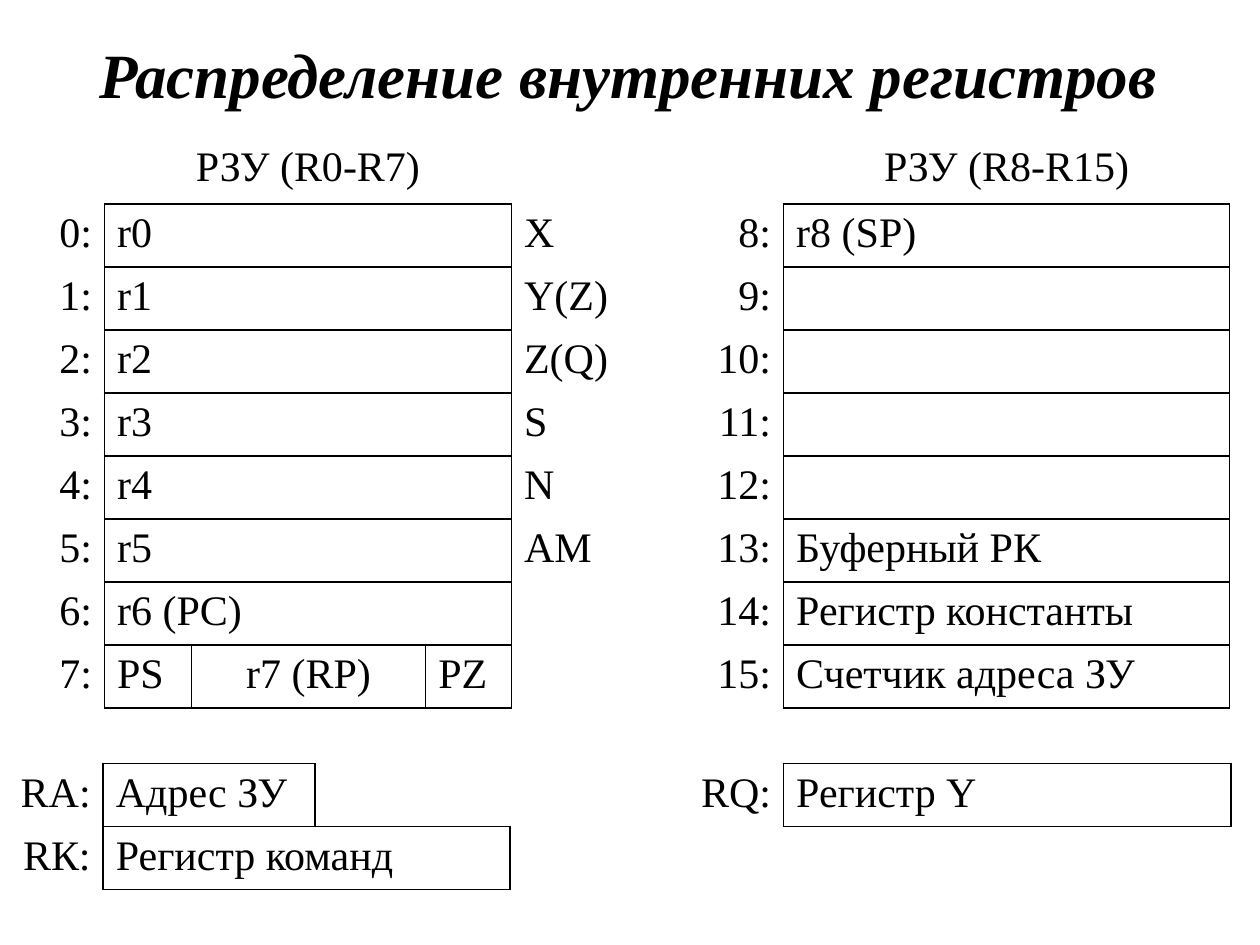
"""Build a slide that shows the layout of the internal registers."""
from dataclasses import dataclass

from lxml import etree
from pptx import Presentation
from pptx import util as u
from pptx.dml.color import RGBColor
from pptx.enum import text
from pptx.oxml import ns

AL = text.PP_ALIGN
SIDES = ("lnL", "lnR", "lnT", "lnB")


@dataclass(frozen=True)
class Theme:
    """Hold the font, ink, type sizes and line weights."""
    font: str = "Times New Roman"
    ink: str = "000000"
    title: int = 36
    body: int = 24
    frame: float = 1.08
    rule: float = 0.96
    divider: float = 0.45


T = Theme()


def put_text(tf, value, size=T.body, align=AL.LEFT, bold=False, italic=False):
    """Write one formatted line into a text frame."""
    p = tf.paragraphs[0]
    p.alignment = align
    r = p.add_run()
    r.text = value
    r.font.name, r.font.size = T.font, u.Pt(size)
    r.font.bold, r.font.italic = bold, italic
    r.font.color.rgb = RGBColor.from_string(T.ink)


def clear_cell(cell):
    """Remove the fill and borders of a cell and set its insets."""
    cell.margin_left = cell.margin_right = u.Inches(0.1)
    cell.margin_top = cell.margin_bottom = u.Inches(0.05)
    pr = cell._tc.get_or_add_tcPr()
    for side in SIDES:
        ln = etree.SubElement(pr, ns.qn(f"a:{side}"))
        etree.SubElement(ln, ns.qn("a:noFill"))
    cell.fill.background()


def set_edge(cell, side, weight):
    """Draw one border of a cell."""
    ln = cell._tc.tcPr.find(ns.qn(f"a:{side}"))
    for child in list(ln):
        ln.remove(child)
    ln.set("w", str(int(u.Pt(weight))))
    fill = etree.SubElement(ln, ns.qn("a:solidFill"))
    etree.SubElement(fill, ns.qn("a:srgbClr")).set("val", T.ink)


def add_grid(s, left, top, cols, rows):
    """Add a plain table with the given column widths and row heights."""
    size = u.Inches(sum(cols)), u.Inches(sum(rows))
    table = s.shapes.add_table(len(rows), len(cols), u.Inches(left), u.Inches(top), *size).table
    table.first_row = table.horz_banding = False
    for column, width in zip(table.columns, cols):
        column.width = u.Inches(width)
    for row, height in zip(table.rows, rows):
        row.height = u.Inches(height)
    for cell in table.iter_cells():
        clear_cell(cell)
    return table


def add_label(table, row, first, value, last=None, align=AL.RIGHT):
    """Write a label into a cell, merged up to the last column if given."""
    cell = table.cell(row, first)
    if last is not None and last > first:
        cell.merge(table.cell(row, last))
    if value:
        put_text(cell.text_frame, value, align=align)


def add_register(table, row, first, last, value, align=AL.LEFT,
                 top=T.frame, bottom=T.frame, left=T.frame, right=T.frame):
    """Draw a framed register and share each edge with its neighbours."""
    def edge(r, c, side, weight):
        if r < len(table.rows) and c < len(table.columns):
            set_edge(table.cell(r, c), side, weight)

    for c in range(first, last + 1):
        edge(row, c, "lnT", top)
        edge(row, c, "lnB", bottom)
        edge(row + 1, c, "lnT", bottom)
        if row:
            edge(row - 1, c, "lnB", top)
    edge(row, first, "lnL", left)
    edge(row, first - 1, "lnR", left)
    edge(row, first, "lnR", right)
    edge(row, last, "lnR", right)
    edge(row, last + 1, "lnL", right)
    add_label(table, row, first, value, last, align)


def add_general_registers(s):
    """Add both banks of general registers."""
    table = add_grid(s, 0.12, 1.09, [0.71, 0.69, 1.86, 0.68, 0.9, 1.26, 3.54], [0.53] + [0.5] * 9)
    low = ["r0", "r1", "r2", "r3", "r4", "r5", "r6 (PC)"]
    roles = ["X", "Y(Z)", "Z(Q)", "S", "N", "AM"]
    high = ["r8 (SP)", "", "", "", "", "Буферный РК", "Регистр константы", "Счетчик адреса ЗУ"]
    add_label(table, 0, 1, "РЗУ (R0-R7)", last=3, align=AL.CENTER)
    add_label(table, 0, 6, "РЗУ (R8-R15)", align=AL.CENTER)
    for row, value in enumerate(low, 1):
        add_register(table, row, 1, 3, value, top=T.frame if row == 1 else T.rule, bottom=T.rule)
    add_register(table, 8, 1, 1, "PS", AL.JUSTIFY, top=T.rule, right=T.divider)
    add_register(table, 8, 2, 2, "r7 (RP)", AL.CENTER, top=T.rule, left=T.divider, right=T.divider)
    add_register(table, 8, 3, 3, "PZ", AL.JUSTIFY, top=T.rule, left=T.divider)
    for row, value in enumerate(roles, 1):
        add_label(table, row, 4, value, align=AL.JUSTIFY)
    for row, value in enumerate(high, 1):
        add_label(table, row, 0, f"{row - 1}:")
        add_label(table, row, 5, f"{row + 7}:")
        add_register(table, row, 6, 6, value, top=T.rule if row > 6 else T.frame,
                     bottom=T.rule if row in (6, 7) else T.frame)


def add_special_registers(s):
    """Add the address, command and Y registers."""
    table = add_grid(s, -0.04, 6.06, [0.86, 1.68, 1.55, 0.69, 1.48, 0.25, 3.02, 0.28], [0.5] * 2)
    for row, col, value in [(0, 0, "RA:"), (1, 0, "RК:"), (0, 4, "RQ:")]:
        add_label(table, row, col, value)
    add_register(table, 0, 1, 1, "Адрес ЗУ", AL.JUSTIFY, bottom=T.rule)
    add_register(table, 0, 5, 7, "Регистр Y")
    add_register(table, 1, 1, 2, "Регистр команд", AL.JUSTIFY)


def add_title(s, value):
    """Add the slide title."""
    box = s.shapes.add_textbox(u.Inches(0.24), u.Inches(0.21), u.Inches(9.49), u.Inches(0.75))
    tf = box.text_frame
    tf.word_wrap = True
    tf.vertical_anchor = text.MSO_ANCHOR.MIDDLE
    put_text(tf, value, size=T.title, align=AL.CENTER, bold=True, italic=True)


def main():
    """Build and save the slide."""
    prs = Presentation()
    prs.slide_width, prs.slide_height = u.Inches(10), u.Inches(7.5)
    s = prs.slides.add_slide(prs.slide_layouts[6])
    add_general_registers(s)
    add_special_registers(s)
    add_title(s, "Распределение внутренних регистров")
    prs.save("out.pptx")


if __name__ == "__main__":
    main()
